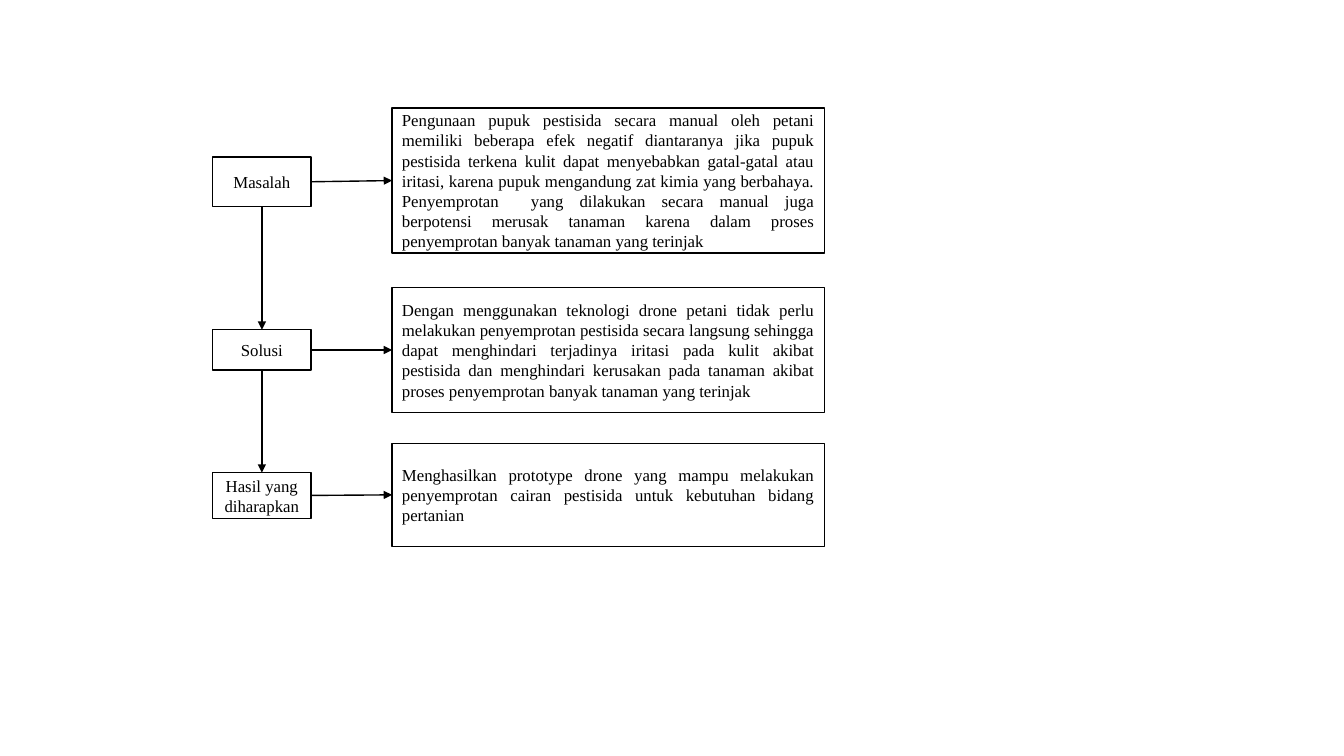
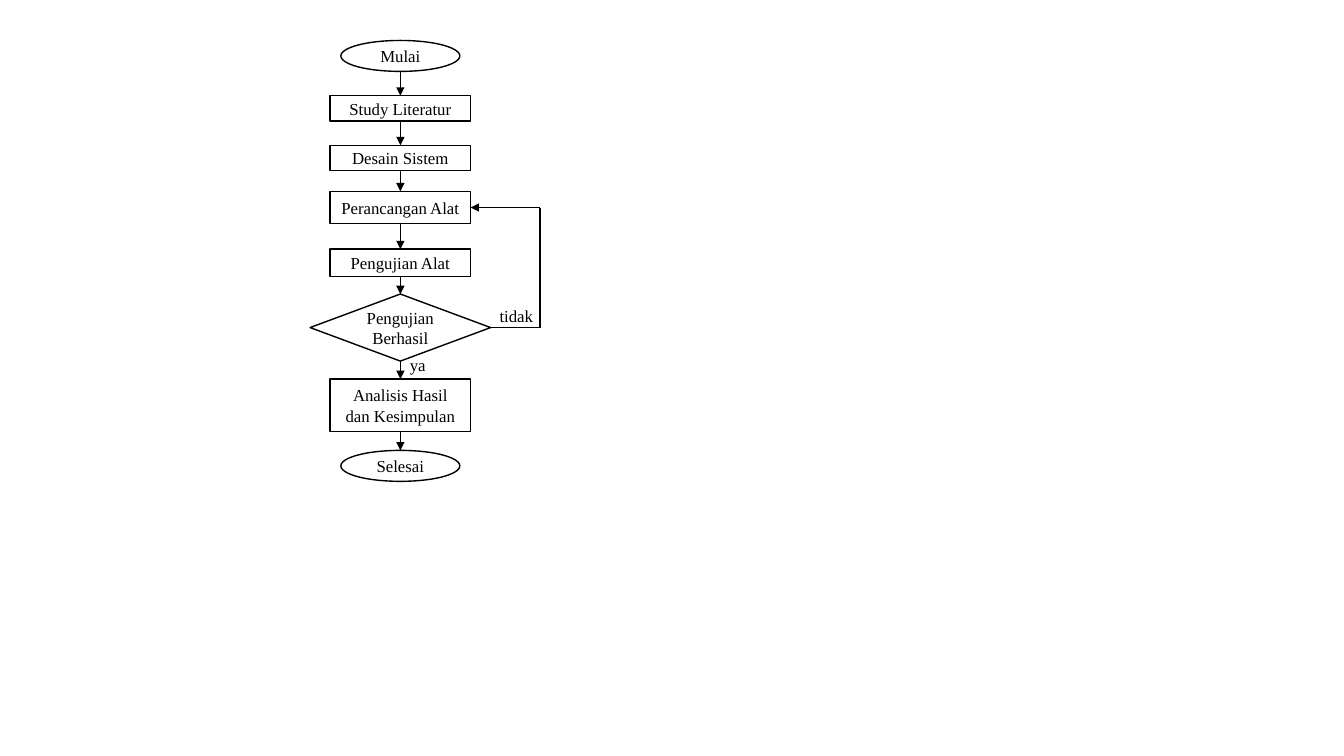
from itertools import pairwise

from lxml.etree import SubElement
from pptx import Presentation
from pptx.dml.color import RGBColor
from pptx.enum.shapes import MSO_CONNECTOR, MSO_SHAPE
from pptx.enum.text import MSO_ANCHOR, MSO_AUTO_SIZE, PP_ALIGN
from pptx.oxml.ns import qn
from pptx.util import Cm, Pt

COLOURS = {"ink": "000000", "paper": "FFFFFF"}
FONT = "Times New Roman"
BLANK_LAYOUT = 6
TOP, LEFT, BOTTOM, RIGHT = range(4)


class FlowDeck:
    def __init__(self):
        self.presentation = Presentation()
        self.presentation.slide_width = Cm(33.87)
        self.presentation.slide_height = Cm(19.05)
        self.slide = None

    @staticmethod
    def colour(name):
        return RGBColor.from_string(COLOURS[name])

    def new_slide(self):
        layout = self.presentation.slide_layouts[BLANK_LAYOUT]
        self.slide = self.presentation.slides.add_slide(layout)
        fill = self.slide.background.fill
        fill.solid()
        fill.fore_color.rgb = self.colour("paper")

    def style_line(self, line):
        line.color.rgb = self.colour("ink")
        line.width = Pt(1)

    def add_text(self, shape, text, align):
        shape.text_frame.word_wrap = True
        paragraph = shape.text_frame.paragraphs[0]
        paragraph.alignment = align
        run = paragraph.add_run()
        run.text = text
        run.font.name = FONT
        run.font.size = Pt(12)
        run.font.color.rgb = self.colour("ink")

    def box(self, text, left, top, width, height,
            kind=MSO_SHAPE.RECTANGLE, align=PP_ALIGN.CENTER):
        shape = self.slide.shapes.add_shape(
            kind, Cm(left), Cm(top), Cm(width), Cm(height))
        shape.shadow.inherit = False
        shape.fill.background()
        self.style_line(shape.line)
        shape.text_frame.vertical_anchor = MSO_ANCHOR.MIDDLE
        self.add_text(shape, text, align)
        return shape

    def label(self, text, left, top, width):
        shape = self.slide.shapes.add_textbox(
            Cm(left), Cm(top), Cm(width), Cm(0.77))
        shape.text_frame.auto_size = MSO_AUTO_SIZE.SHAPE_TO_FIT_TEXT
        self.add_text(shape, text, PP_ALIGN.LEFT)

    def line(self, start, end, arrow=True):
        connector = self.slide.shapes.add_connector(
            MSO_CONNECTOR.STRAIGHT, *start, *end)
        self.style_line(connector.line)
        properties = connector._element.spPr
        if arrow:
            SubElement(properties.find(qn("a:ln")), qn("a:tailEnd"), type="triangle")
        SubElement(properties, qn("a:effectLst"))
        return connector

    def link(self, source, source_side, target, target_side):
        """Draw an arrow that stays attached to both shapes."""
        connector = self.line((0, 0), (0, 0))
        connector.begin_connect(source, source_side)
        connector.end_connect(target, target_side)
        ends = (("a:stCxn", source, source_side), ("a:endCxn", target, target_side))
        for tag, shape, side in ends:
            # An ellipse has eight connection sites, so its sides are every second one.
            if shape.auto_shape_type == MSO_SHAPE.OVAL:
                site = next(connector._element.iter(qn(tag)))
                site.set("idx", str(2 * side))


def add_problem_slide(deck):
    deck.new_slide()
    rows = [
        ("Masalah", 3.96, 1.24, 2.72, 3.66,
         "Pengunaan pupuk pestisida secara manual oleh petani memiliki beberapa "
         "efek negatif diantaranya jika pupuk pestisida terkena kulit dapat "
         "menyebabkan gatal-gatal atau iritasi, karena pupuk mengandung zat kimia "
         "yang berbahaya. Penyemprotan  yang dilakukan secara manual juga "
         "berpotensi merusak tanaman karena dalam proses penyemprotan banyak "
         "tanaman yang terinjak"),
        ("Solusi", 8.31, 1.02, 7.24, 3.16,
         "Dengan menggunakan teknologi drone petani tidak perlu melakukan "
         "penyemprotan pestisida secara langsung sehingga dapat menghindari "
         "terjadinya iritasi pada kulit akibat pestisida dan menghindari kerusakan "
         "pada tanaman akibat proses penyemprotan banyak tanaman yang terinjak"),
        ("Hasil yang diharapkan", 11.91, 1.15, 11.17, 2.6,
         "Menghasilkan prototype drone yang mampu melakukan penyemprotan cairan "
         "pestisida untuk kebutuhan bidang pertanian"),
    ]
    stages = []
    for name, stage_top, stage_height, detail_top, detail_height, text in rows:
        stage = deck.box(name, 5.36, stage_top, 2.48, stage_height)
        detail = deck.box(text, 9.88, detail_top, 10.9, detail_height,
                          align=PP_ALIGN.JUSTIFY)
        deck.link(stage, RIGHT, detail, LEFT)
        stages.append(stage)
    for upper, lower in pairwise(stages):
        deck.link(upper, BOTTOM, lower, TOP)


def add_method_slide(deck):
    deck.new_slide()
    centre = 10.09
    widths = {MSO_SHAPE.OVAL: 3, MSO_SHAPE.RECTANGLE: 3.54, MSO_SHAPE.DIAMOND: 4.55}
    steps = [
        ("Mulai", MSO_SHAPE.OVAL, 1.02, 0.78),
        ("Study Literatur", MSO_SHAPE.RECTANGLE, 2.41, 0.64),
        ("Desain Sistem", MSO_SHAPE.RECTANGLE, 3.66, 0.64),
        ("Perancangan Alat", MSO_SHAPE.RECTANGLE, 4.82, 0.82),
        ("Pengujian Alat", MSO_SHAPE.RECTANGLE, 6.28, 0.69),
        ("Pengujian Berhasil", MSO_SHAPE.DIAMOND, 7.41, 1.69),
        ("Analisis Hasil dan Kesimpulan", MSO_SHAPE.RECTANGLE, 9.55, 1.33),
        ("Selesai", MSO_SHAPE.OVAL, 11.35, 0.78),
    ]
    shapes = {
        text: deck.box(text, centre - widths[kind] / 2, top, widths[kind], height, kind)
        for text, kind, top, height in steps
    }
    for upper, lower in pairwise(shapes.values()):
        deck.link(upper, BOTTOM, lower, TOP)

    def right_middle(shape):
        return shape.left + shape.width, shape.top + shape.height // 2

    start = right_middle(shapes["Pengujian Berhasil"])
    end = right_middle(shapes["Perancangan Alat"])
    turn = Cm(13.61)
    corners = [start, (turn, start[1]), (turn, end[1]), end]
    for first, second in pairwise(corners):
        deck.line(first, second, arrow=second is end)

    deck.label("tidak", 12.34, 7.59, 1.45)
    deck.label("ya", 10.08, 8.81, 1.24)


def main():
    deck = FlowDeck()
    add_problem_slide(deck)
    add_method_slide(deck)
    deck.presentation.save("out.pptx")


if __name__ == "__main__":
    main()
